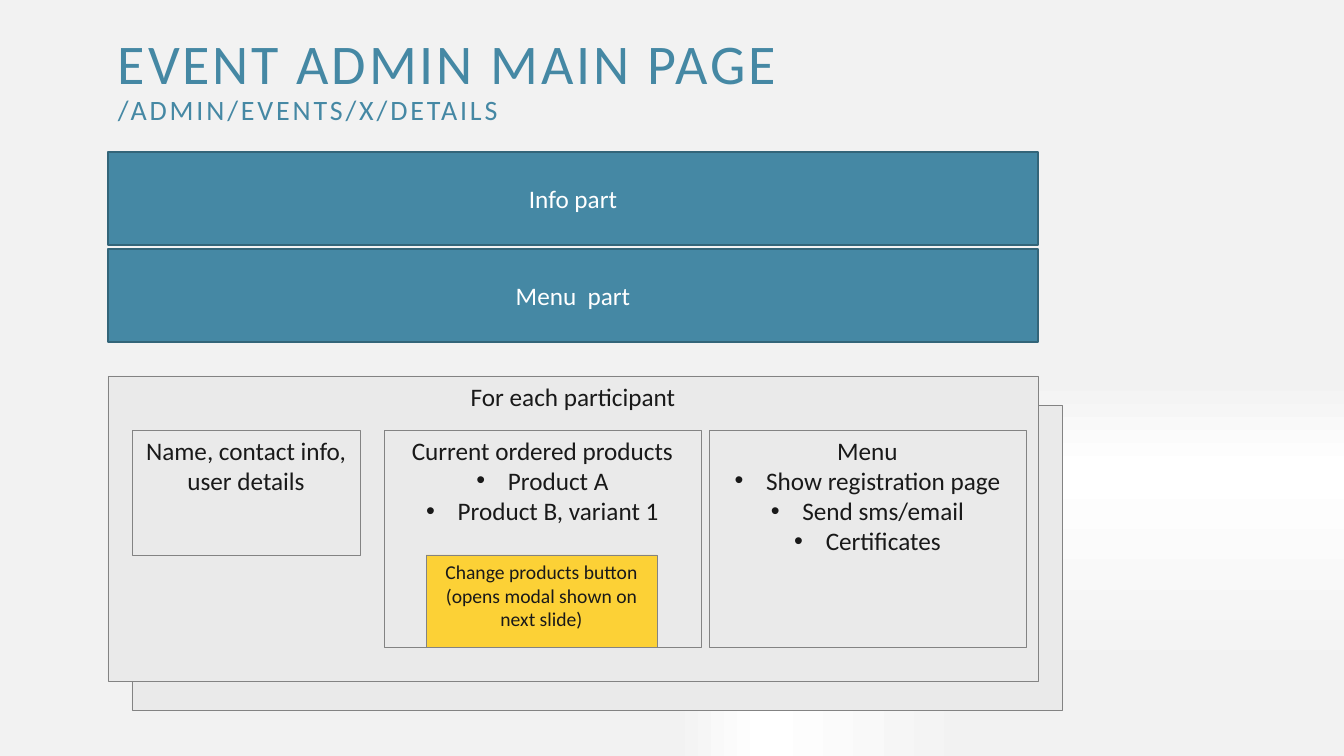
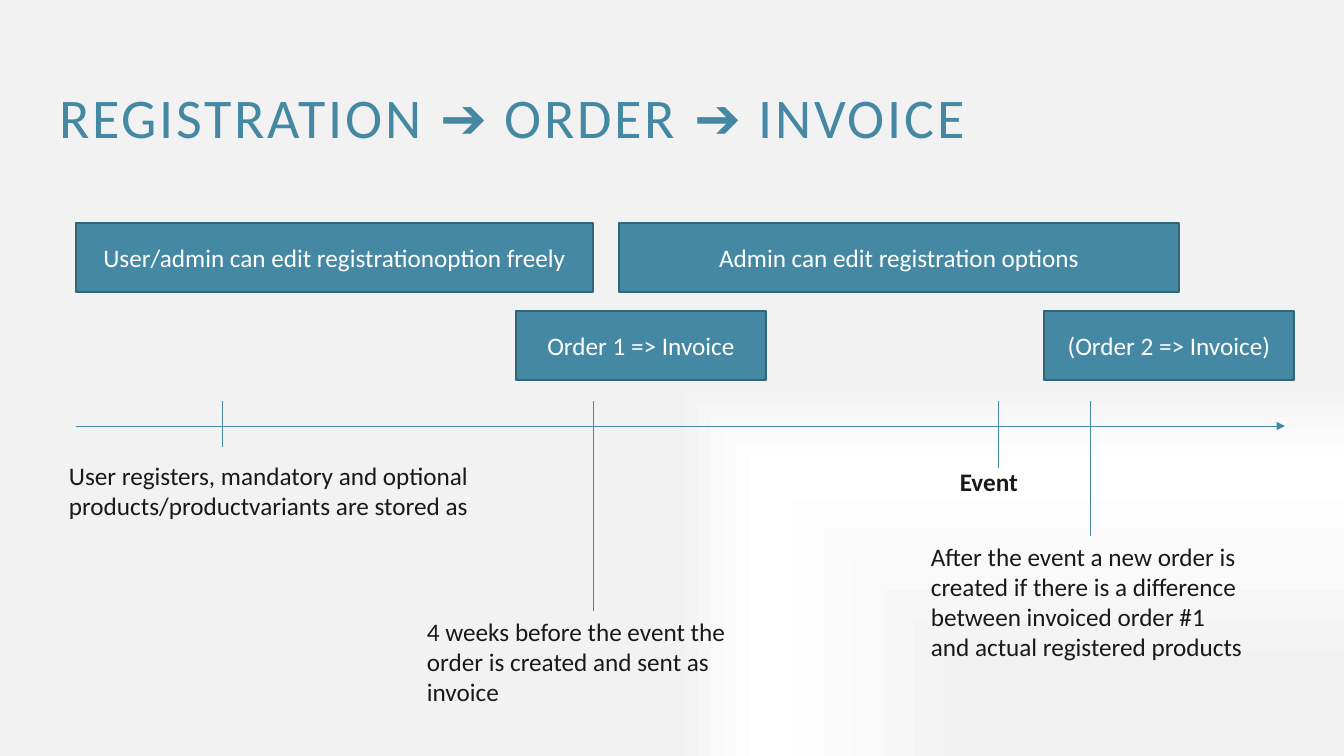
from typing import NamedTuple

from lxml.etree import SubElement
from pptx import Presentation
from pptx.dml.color import RGBColor
from pptx.enum.shapes import MSO_CONNECTOR as CONN, MSO_SHAPE as SHAPE
from pptx.enum.text import MSO_ANCHOR as ANCHOR, MSO_AUTO_SIZE as FIT, PP_ALIGN as ALIGN
from pptx.oxml import parse_xml
from pptx.oxml.ns import nsdecls, qn
from pptx.util import Emu, Pt

# Shared look
SCALE = 914400 / 100.8
FONT = "Calibri"
COLORS = {
    "page": "F2F2F2", "white": "FFFFFF", "teal": "4588A4", "teal_edge": "336579",
    "card": "EAEAEA", "card_edge": "838383", "button": "FCD136", "ink": "191919",
}
GRADIENT = [(0, "page"), (20, "page"), (76, "white"), (100, "page")]
BULLET_INDENT = 285750


class Style(NamedTuple):
    fill: str
    edge: str
    edge_pt: float
    ink: str
    size: int
    anchor: ANCHOR


BAND = Style("teal", "teal_edge", 1, "white", 18, ANCHOR.MIDDLE)
CARD = Style("card", "card_edge", 0.5, "ink", 18, ANCHOR.TOP)
BUTTON = CARD._replace(fill="button", size=14)


class Box(NamedTuple):
    left: int
    top: int
    width: int
    height: int
    text: str
    style: Style = CARD
    bullets: tuple[str, ...] = ()


class Note(NamedTuple):
    left: int
    top: int
    width: int
    height: int
    text: str
    bold: bool = False


class Line(NamedTuple):
    x1: int
    y1: int
    x2: int
    y2: int
    arrow: bool = False


def px(n: float) -> Emu:
    return Emu(round(n * SCALE))


def rgb(name: str) -> RGBColor:
    return RGBColor.from_string(COLORS[name])


def apply(target, values: dict) -> None:
    for name, value in values.items():
        setattr(target, name, value)


def format_runs(p, color: str, sizes: list[int], bold: bool = False) -> None:
    """Format runs in turn; the last size serves all that remain."""
    for i, r in enumerate(p.runs):
        size = sizes[min(i, len(sizes) - 1)]
        apply(r.font, {"name": FONT, "size": Pt(size), "bold": bold})
        r.font.color.rgb = rgb(color)


def set_master(prs) -> None:
    master = prs.slide_master
    # Gradient that spreads from the bottom right corner
    master.background.fill.solid()
    bg = master.element.find(".//" + qn("p:bgPr"))
    stops = "".join(
        f'<a:gs pos="{pos * 1000}"><a:srgbClr val="{COLORS[c]}"/></a:gs>'
        for pos, c in GRADIENT)
    bg.replace(bg[0], parse_xml(
        f'<a:gradFill {nsdecls("a")} rotWithShape="1"><a:gsLst>{stops}</a:gsLst>'
        '<a:path path="rect"><a:fillToRect l="100000" t="100000"/></a:path>'
        '</a:gradFill>'))
    # Title size and letter spacing
    title = master.element.find(".//" + qn("p:titleStyle"))
    font = title.find(".//" + qn("a:defRPr"))
    for name, value in {"sz": "4000", "spc": "200"}.items():
        font.set(name, value)


def add_slide(prs, left: int, top: int, title: str):
    s = prs.slides.add_slide(prs.slide_layouts[5])
    sp = s.shapes.title
    apply(sp, {"left": px(left), "top": px(top), "width": px(1008), "height": px(131)})
    tf = sp.text_frame
    tf.text = title
    apply(tf, {"vertical_anchor": ANCHOR.BOTTOM, "auto_size": FIT.NONE, "word_wrap": True})
    apply(tf, dict.fromkeys(
        ("margin_left", "margin_top", "margin_right", "margin_bottom"), px(10)))
    p = tf.paragraphs[0]
    apply(p, {"alignment": ALIGN.LEFT, "line_spacing": 0.9})
    format_runs(p, "teal", [40, 20] if "\v" in title else [40])
    return s


def add_box(s, box: Box) -> None:
    style = box.style
    sp = s.shapes.add_shape(SHAPE.RECTANGLE, *map(px, box[:4]))
    sp.shadow.inherit = False
    sp.fill.solid()
    sp.fill.fore_color.rgb = rgb(style.fill)
    sp.line.color.rgb = rgb(style.edge)
    sp.line.width = Pt(style.edge_pt)
    tf = sp.text_frame
    tf.text = "\n".join((box.text, *box.bullets))
    apply(tf, {"word_wrap": True, "vertical_anchor": style.anchor})
    for i, p in enumerate(tf.paragraphs):
        p.alignment = ALIGN.CENTER
        format_runs(p, style.ink, [style.size])
        if i:
            pPr = p._p.get_or_add_pPr()
            pPr.set("marL", str(BULLET_INDENT))
            pPr.set("indent", str(-BULLET_INDENT))
            SubElement(pPr, qn("a:buFont")).set("typeface", "Arial")
            SubElement(pPr, qn("a:buChar")).set("char", "•")


def add_note(s, note: Note) -> None:
    tf = s.shapes.add_textbox(*map(px, note[:4])).text_frame
    tf.text = note.text
    tf.word_wrap = True
    format_runs(tf.paragraphs[0], "ink", [18], note.bold)


def add_line(s, line: Line) -> None:
    c = s.shapes.add_connector(CONN.STRAIGHT, *map(px, line[:4]))
    c.line.color.rgb = rgb("teal")
    c.line.width = Pt(0.5)
    spPr = c._element.spPr
    if line.arrow:
        SubElement(spPr.find(qn("a:ln")), qn("a:tailEnd")).set("type", "triangle")
    SubElement(spPr, qn("a:effectLst"))


prs = Presentation()
apply(prs, {"slide_width": px(1344), "slide_height": px(756)})
set_master(prs)

# Slide 1: page layout
s = add_slide(prs, 108, 6, "EVENT ADMIN MAIN PAGE\v/ADMIN/EVENTS/X/DETAILS")
for box in (
    Box(132, 405, 930, 305, ""),
    Box(108, 152, 930, 93, "Info part", BAND),
    Box(108, 249, 930, 93, "Menu  part", BAND),
    Box(108, 376, 930, 305, "For each participant"),
    Box(132, 430, 228, 125, "Name, contact info, user details"),
    Box(384, 430, 317, 217, "Current ordered products",
        bullets=("Product A", "Product B, variant 1")),
    Box(426, 555, 231, 92, "Change products button (opens modal shown on next slide)",
        BUTTON),
    Box(709, 430, 317, 217, "Menu",
        bullets=("Show registration page", "Send sms/email", "Certificates")),
):
    add_box(s, box)

# Slide 2: timeline
s = add_slide(prs, 49, 30, "REGISTRATION ➔ ORDER ➔ INVOICE")
add_line(s, Line(76, 426, 1285, 426, arrow=True))
for x, bottom in ((222, 447), (593, 611), (1090, 536), (998, 468)):
    add_line(s, Line(x, 401, x, bottom))
for note in (
    Note(59, 455, 446, 102, "User registers, mandatory and optional\v"
         "products/productvariants are stored as"),
    Note(417, 611, 336, 102, "4 weeks before the event the\v"
         "order is created and sent as\vinvoice"),
    Note(921, 536, 349, 132, "After the event a new order is\v"
         "created if there is a difference\v"
         "between invoiced order #1\vand actual registered products"),
    Note(950, 461, 82, 40, "Event", bold=True),
):
    add_note(s, note)
for box in (
    Box(76, 223, 517, 69, "User/admin can edit registrationoption freely", BAND),
    Box(619, 223, 560, 69, "Admin can edit registration options", BAND),
    Box(516, 311, 250, 69, "Order 1 => Invoice", BAND),
    Box(1044, 311, 250, 69, "(Order 2 => Invoice)", BAND),
):
    add_box(s, box)

prs.save("out.pptx")
